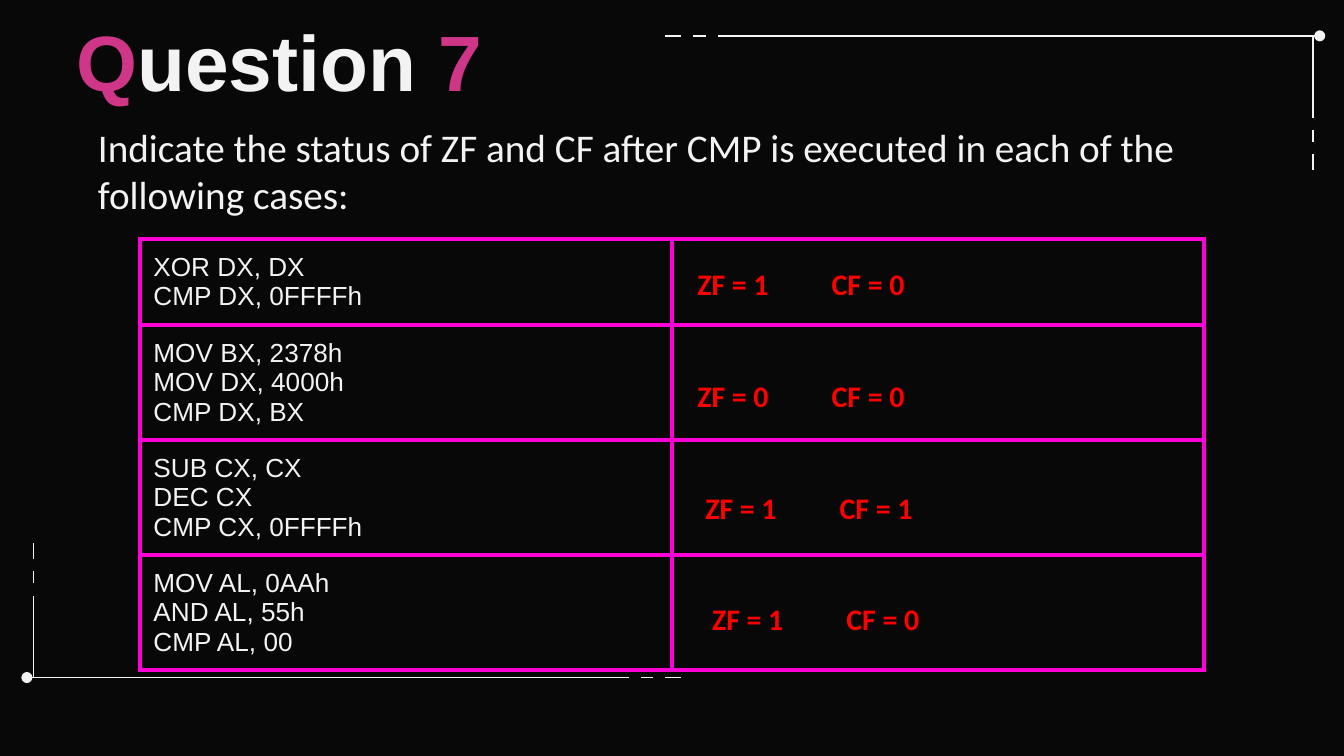
import dataclasses

import lxml.etree
import pptx
import pptx.dml.color
import pptx.enum.shapes
import pptx.enum.text
import pptx.oxml
import pptx.oxml.ns
import pptx.util

Pt = pptx.util.Pt
qn = pptx.oxml.ns.qn


@dataclasses.dataclass(frozen=True)
class Theme:
    background: str = "080808"
    text: str = "F3F3F3"
    accent: str = "CF3688"
    grid: str = "FF00D5"
    answer: str = "FF0000"
    heading_font: str = "Arial"
    body_font: str = "Calibri"
    title_size: float = 42
    prompt_size: float = 21
    code_size: float = 14
    answer_size: float = 16
    thin_line: float = 0.75
    grid_line: float = 2.25
    inset: float = 7.2


THEME = Theme()
CASES = [
    ["XOR DX, DX", "CMP DX, 0FFFFh"],
    ["MOV BX, 2378h", "MOV DX, 4000h", "CMP DX, BX"],
    ["SUB CX, CX", "DEC CX", "CMP CX, 0FFFFh"],
    ["MOV AL, 0AAh", "AND AL, 55h", "CMP AL, 00"],
]
# Left edge, ZF and CF of each answer
ANSWERS = [(366.5, 1, 0), (366.5, 0, 0), (370.8, 1, 1), (374.4, 1, 0)]


def rgb(color):
    return pptx.dml.color.RGBColor.from_string(color)


def add_run(paragraph, text, font, size, color, bold=False):
    run = paragraph.add_run()
    run.text = text
    run.font.name = font
    run.font.size = Pt(size)
    run.font.bold = bold
    run.font.color.rgb = rgb(color)


def format_frame(frame, anchor):
    frame.word_wrap = True
    frame.auto_size = pptx.enum.text.MSO_AUTO_SIZE.NONE
    frame.vertical_anchor = anchor
    frame.margin_left = frame.margin_right = Pt(THEME.inset)
    frame.margin_top = frame.margin_bottom = Pt(THEME.inset)


def add_text_box(slide, box, anchor):
    """Add an empty text box and return its first paragraph."""
    frame = slide.shapes.add_textbox(*map(Pt, box)).text_frame
    format_frame(frame, anchor)
    return frame.paragraphs[0]


def add_line(group, start, end, oval_start=False):
    line = group.shapes.add_connector(
        pptx.enum.shapes.MSO_CONNECTOR.STRAIGHT, *map(Pt, (*start, *end)))
    line.line.color.rgb = rgb(THEME.text)
    line.line.width = Pt(THEME.thin_line)
    if oval_start:
        outline = line.line._get_or_add_ln()
        lxml.etree.SubElement(outline, qn("a:headEnd"), type="oval")
    properties = line._element.spPr
    lxml.etree.SubElement(properties, qn("a:effectLst"))


def add_corner(slide, x, y, direction):
    """Draw two lines that leave a corner node and break into dashes.

    A direction of 1 runs right and up, -1 runs left and down.
    """
    group = slide.shapes.add_group_shape()

    def along(distance):
        return x + direction * distance, y

    def across(distance):
        return x + direction * 3.6, y - direction * distance

    for point, dashes_at in ((across, 35.3), (along, 313.9)):
        add_line(group, point(0), point(dashes_at + 5), point is along)
        for offset, length in ((0, 8.6), (15.1, 6.5), (28.1, 8.6)):
            start = dashes_at + offset
            add_line(group, point(start), point(start + length))


def add_title(slide, box):
    title = slide.shapes.title
    title.left, title.top, title.width, title.height = map(Pt, box)
    format_frame(title.text_frame, pptx.enum.text.MSO_ANCHOR.MIDDLE)
    paragraph = title.text_frame.paragraphs[0]
    paragraph.alignment = pptx.enum.text.PP_ALIGN.LEFT
    for text, color in (("Q", THEME.accent), ("uestion ", THEME.text),
                        ("7", THEME.accent)):
        add_run(paragraph, text, THEME.heading_font, THEME.title_size,
                color, bold=True)


def add_prompt(slide, box):
    paragraph = add_text_box(slide, box, pptx.enum.text.MSO_ANCHOR.MIDDLE)
    add_run(paragraph,
            "Indicate the status of ZF and CF after CMP is executed in each "
            "of the following cases:",
            THEME.body_font, THEME.prompt_size, THEME.text)


def format_cell(cell):
    cell.margin_left = cell.margin_right = Pt(THEME.inset)
    cell.margin_top = cell.margin_bottom = Pt(THEME.inset)
    properties = cell._tc.get_or_add_tcPr()
    for side in ("a:lnL", "a:lnR", "a:lnT", "a:lnB"):
        border = lxml.etree.SubElement(
            properties, qn(side), w=str(int(Pt(THEME.grid_line))))
        fill = lxml.etree.SubElement(border, qn("a:solidFill"))
        lxml.etree.SubElement(fill, qn("a:srgbClr"), val=THEME.grid)
    cell.fill.background()


def add_case_table(slide, box):
    """Fill the left column with code, a short first row above equal rows."""
    left, top, width, height = box
    first_height = 46
    other_height = (height - first_height) / (len(CASES) - 1)
    table = slide.shapes.add_table(len(CASES), 2, *map(Pt, box)).table
    table.first_row = table.horz_banding = False
    for column in table.columns:
        column.width = Pt(width / 2)
    for index, lines in enumerate(CASES):
        table.rows[index].height = Pt(other_height if index else first_height)
        for cell in table.rows[index].cells:
            format_cell(cell)
        frame = table.cell(index, 0).text_frame
        for number, line in enumerate(lines):
            paragraph = frame.add_paragraph() if number else frame.paragraphs[0]
            add_run(paragraph, line, THEME.heading_font, THEME.code_size,
                    THEME.text)


def add_answers(slide, top, pitch, width, height):
    for index, (left, zero_flag, carry_flag) in enumerate(ANSWERS):
        box = (left, top + index * pitch, width, height)
        paragraph = add_text_box(slide, box, pptx.enum.text.MSO_ANCHOR.TOP)
        add_run(paragraph, f"ZF = {zero_flag}\tCF = {carry_flag}",
                THEME.body_font, THEME.answer_size, THEME.answer, bold=True)


def build_question_slide(presentation):
    slide = presentation.slides.add_slide(presentation.slide_layouts[5])
    slide.background.fill.solid()
    slide.background.fill.fore_color.rgb = rgb(THEME.background)
    add_corner(slide, 707, 19.2, -1)
    add_corner(slide, 14.4, 363, 1)
    add_title(slide, (33.8, 9.4, 607, 45.4))
    add_prompt(slide, (45.4, 50.4, 607, 82))
    add_case_table(slide, (75, 128.2, 570.2, 230))
    add_answers(slide, top=135.4, pitch=59.8, width=213.8, height=38.9)


def main():
    presentation = pptx.Presentation()
    presentation.slide_width = Pt(720)
    presentation.slide_height = Pt(405)
    build_question_slide(presentation)
    presentation.save("out.pptx")


if __name__ == "__main__":
    main()
